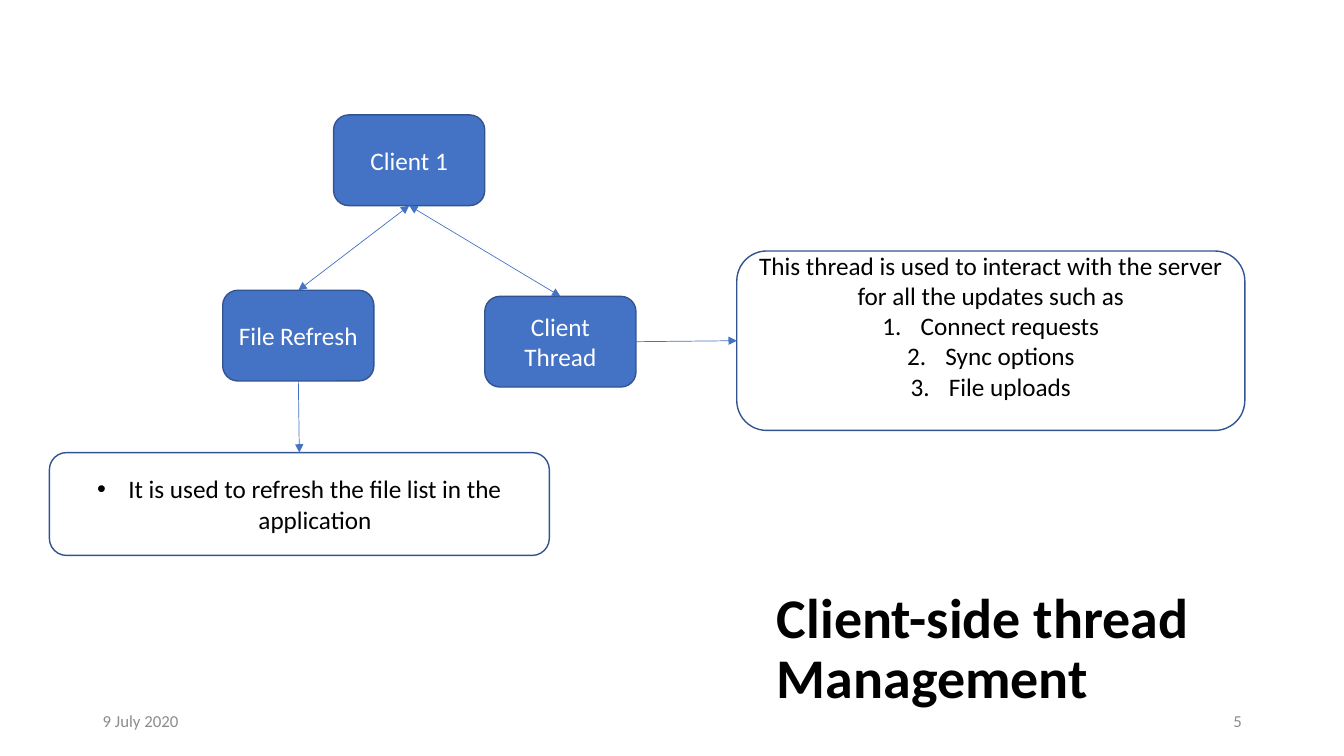
from dataclasses import dataclass

from lxml import etree
from pptx import Presentation
from pptx import util as u
from pptx.dml import color
from pptx.enum import shapes, text
from pptx.oxml import ns

PX = 9144
COLOURS = {
    "blue": "4472C4",
    "outline": "325491",
    "white": "FFFFFF",
    "black": "000000",
    "grey": "8C8C8C",
}
TOP, LEFT, BOTTOM, RIGHT = range(4)


@dataclass(frozen=True)
class Line:
    text: str
    bullet: str = ""
    indent: int = 0


@dataclass(frozen=True)
class Box:
    key: str
    left: int
    top: int
    width: int
    height: int
    lines: tuple[Line, ...]
    fill: str = ""
    colour: str = "black"
    inset_top: int = 5
    inset_bottom: int = 5


@dataclass(frozen=True)
class Arrow:
    start: str
    start_site: int
    end: str
    end_site: int
    two_way: bool = False


@dataclass(frozen=True)
class Label:
    text: str
    left: int
    top: int
    width: int
    height: int
    size: int
    colour: str
    align: text.PP_ALIGN = text.PP_ALIGN.LEFT
    anchor: text.MSO_ANCHOR = text.MSO_ANCHOR.MIDDLE
    bold: bool = False
    spacing: float = 1.0


def node(key: str, left: int, top: int) -> Box:
    return Box(key, left, top, 150, 90, (Line(key),), "blue", "white")


BOXES = (
    node("Client 1", 331, 114),
    node("File Refresh", 221, 288),
    node("Client Thread", 481, 294),
    Box("Refresh purpose", 49, 449, 496, 102,
        (Line("It is used to refresh the file list in the application", "•", 31),)),
    Box("Thread purpose", 731, 249, 504, 178, (
        Line("This thread is used to interact with the server for all the updates such as"),
        *(Line(task, "1.", 38) for task in ("Connect requests", "Sync options", "File uploads")),
    ), inset_top=0, inset_bottom=30),
)
ARROWS = (
    Arrow("Client 1", BOTTOM, "File Refresh", TOP, two_way=True),
    Arrow("Client 1", BOTTOM, "Client Thread", TOP, two_way=True),
    Arrow("Client Thread", RIGHT, "Thread purpose", LEFT),
    Arrow("File Refresh", BOTTOM, "Refresh purpose", TOP),
)
LABELS = (
    Label("9 July 2020", 92, 695, 300, 40, 12, "grey"),
    Label("5", 942, 695, 300, 40, 12, "grey", text.PP_ALIGN.RIGHT),
    Label("Client-side thread\vManagement", 761, 375, 528, 335, 40, "black",
          anchor=text.MSO_ANCHOR.BOTTOM, bold=True, spacing=0.9),
)


def rgb(name: str) -> color.RGBColor:
    return color.RGBColor.from_string(COLOURS[name])


def set_font(paragraph, size: int, colour: str, bold: bool = False) -> None:
    font = paragraph.font
    font.name, font.size, font.bold = "Calibri", u.Pt(size), bold
    font.color.rgb = rgb(colour)


def set_bullet(paragraph, line: Line) -> None:
    properties = paragraph._p.get_or_add_pPr()
    properties.set("marL", str(line.indent * PX))
    properties.set("indent", str(-line.indent * PX))
    if line.bullet == "1.":
        etree.SubElement(properties, ns.qn("a:buAutoNum"), type="arabicPeriod")
    else:
        etree.SubElement(properties, ns.qn("a:buFont"), typeface="Arial")
        etree.SubElement(properties, ns.qn("a:buChar"), char=line.bullet)


def draw_box(slide, box: Box):
    shape = slide.shapes.add_shape(
        shapes.MSO_SHAPE.ROUNDED_RECTANGLE,
        box.left * PX, box.top * PX, box.width * PX, box.height * PX)
    shape.shadow.inherit = False
    if box.fill:
        shape.fill.solid()
        shape.fill.fore_color.rgb = rgb(box.fill)
    else:
        shape.fill.background()
    shape.line.color.rgb = rgb("outline")
    shape.line.width = u.Pt(1)
    frame = shape.text_frame
    frame.word_wrap = True
    frame.vertical_anchor = text.MSO_ANCHOR.MIDDLE
    frame.margin_top, frame.margin_bottom = box.inset_top * PX, box.inset_bottom * PX
    for index, line in enumerate(box.lines):
        paragraph = frame.add_paragraph() if index else frame.paragraphs[0]
        paragraph.text = line.text
        paragraph.alignment = text.PP_ALIGN.CENTER
        if line.bullet:
            set_bullet(paragraph, line)
        set_font(paragraph, 18, box.colour)
    return shape


def draw_arrow(slide, arrow: Arrow, drawn: dict) -> None:
    connector = slide.shapes.add_connector(shapes.MSO_CONNECTOR.STRAIGHT, 0, 0, 0, 0)
    connector.begin_connect(drawn[arrow.start], arrow.start_site)
    connector.end_connect(drawn[arrow.end], arrow.end_site)
    connector.line.color.rgb = rgb("blue")
    connector.line.width = u.Pt(0.5)
    outline = connector.line._get_or_add_ln()
    for end in ("a:headEnd", "a:tailEnd") if arrow.two_way else ("a:tailEnd",):
        etree.SubElement(outline, ns.qn(end), type="triangle")
    etree.SubElement(connector._element.spPr, ns.qn("a:effectLst"))


def draw_label(slide, label: Label) -> None:
    shape = slide.shapes.add_textbox(
        label.left * PX, label.top * PX, label.width * PX, label.height * PX)
    frame = shape.text_frame
    frame.word_wrap = True
    frame.vertical_anchor = label.anchor
    paragraph = frame.paragraphs[0]
    paragraph.text = label.text
    paragraph.alignment = label.align
    paragraph.line_spacing = label.spacing
    set_font(paragraph, label.size, label.colour, label.bold)


def main() -> None:
    presentation = Presentation()
    presentation.slide_width = u.Inches(13.33333)
    presentation.slide_height = 750 * PX
    slide = presentation.slides.add_slide(presentation.slide_layouts[6])
    drawn = {box.key: draw_box(slide, box) for box in BOXES}
    for arrow in ARROWS:
        draw_arrow(slide, arrow, drawn)
    for label in LABELS:
        draw_label(slide, label)
    presentation.save("out.pptx")


if __name__ == "__main__":
    main()
